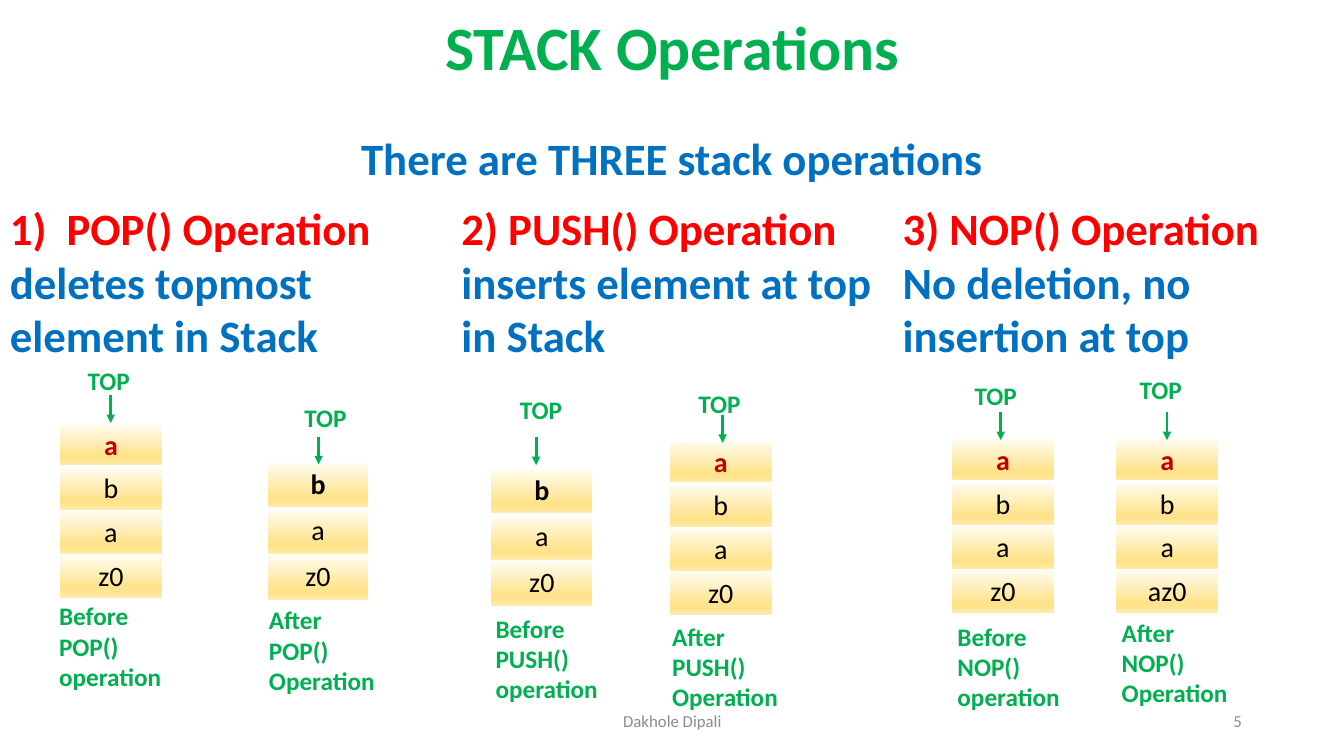
from copy import deepcopy
from dataclasses import dataclass

from lxml.etree import SubElement
from pptx import Presentation
from pptx.dml.color import RGBColor as RGB
from pptx.enum.shapes import MSO_CONNECTOR as Connector
from pptx.enum.text import MSO_ANCHOR as Anchor, PP_ALIGN as Align
from pptx.oxml import parse_xml
from pptx.oxml.ns import nsdecls, qn
from pptx.util import Cm, Pt


@dataclass(frozen=True)
class Theme:
    font: str = "Calibri"
    green: str = "00B050"
    blue: str = "0070C0"
    red: str = "FF0000"
    crimson: str = "C00000"
    black: str = "000000"
    grey: str = "8C8C8C"
    white: str = "FFFFFF"
    gradient: tuple = ((0, "FFFCF2"), (74, "FFE38C"), (83, "FFE38C"), (100, "FFECB2"))
    title: int = 44
    heading: int = 32
    cell: int = 20
    label: int = 18
    footer: int = 12


theme = Theme()


def write(frame, lines, size, bold=True, align=Align.LEFT, anchor=Anchor.TOP, spacing=1.0):
    frame.word_wrap = True
    frame.vertical_anchor = anchor
    for i, (text, color) in enumerate(lines):
        paragraph = frame.paragraphs[0] if i == 0 else frame.add_paragraph()
        paragraph.alignment = align
        paragraph.line_spacing = spacing
        run = paragraph.add_run()
        run.text = text
        for key, value in {"name": theme.font, "size": Pt(size), "bold": bold}.items():
            setattr(run.font, key, value)
        run.font.color.rgb = RGB.from_string(color)


def add_text(left, top, width, height, lines, size, **style):
    box = slide.shapes.add_textbox(Cm(left), Cm(top), Cm(width), Cm(height))
    write(box.text_frame, lines, size, **style)
    return box.text_frame


deck = Presentation()
deck.slide_width, deck.slide_height = Cm(33.87), Cm(19.05)
slide = deck.slides.add_slide(deck.slide_layouts[5])

title = slide.shapes.title
title_place = {"left": Cm(2.34), "top": Cm(0), "width": Cm(29.21), "height": Cm(2.54)}
for key, value in title_place.items():
    setattr(title, key, value)
write(title.text_frame, [("STACK Operations", theme.green)], theme.title,
      align=Align.CENTER, anchor=Anchor.MIDDLE, spacing=0.9)

add_text(0, 3.2, 33.87, 1.73, [("There are THREE stack operations", theme.blue)],
         theme.heading, align=Align.CENTER, anchor=Anchor.MIDDLE, spacing=0.9)

operations = [
    (0, 11.18, "POP() Operation", "deletes topmost element in Stack"),
    (11.38, 11.13, "2) PUSH() Operation", "inserts element at top in Stack"),
    (22.5, 11.35, "3) NOP() Operation", "No deletion, no insertion at top"),
]
for left, width, heading, effect in operations:
    operation = add_text(left, 4.93, width, 14.12,
                         [(heading, theme.red), (effect, theme.blue)], theme.heading)
    if left == 0:
        numbering = operation.paragraphs[0]._p.get_or_add_pPr()
        numbering.set("marL", str(Cm(1.43)))
        numbering.set("indent", str(-Cm(1.43)))
        SubElement(numbering, qn("a:buFont"), typeface=theme.font)
        SubElement(numbering, qn("a:buAutoNum"), type="arabicParenR")

stops = "".join(f'<a:gs pos="{pos * 1000}"><a:srgbClr val="{color}"/></a:gs>'
                for pos, color in theme.gradient)
cell_gradient = parse_xml(f'<a:gradFill {nsdecls("a")}><a:gsLst>{stops}</a:gsLst>'
                          '<a:lin ang="5400000" scaled="0"/></a:gradFill>')
line_xml = ('<a:{tag} {ns} w="{width}"><a:solidFill><a:srgbClr val="{color}"/>'
            '</a:solidFill></a:{tag}>')

stacks = [
    ("a b a z0", (1.5, 10.67), (1.96, 9.09), (2.79, 9.96), "Before POP() operation", (1.24, 15.01)),
    ("b a z0", (6.73, 11.66), (7.42, 10.01), (8.03, 11), "After POP() Operation", (6.53, 15.11)),
    ("b a z0", (12.37, 11.81), (12.85, 9.8), (13.51, 11.02), "Before PUSH() operation", (12.24, 15.32)),
    ("a b a z0", (16.87, 11.1), (17.35, 9.65), (18.21, 10.46), "After PUSH() Operation", (16.69, 15.52)),
    ("a b a z0", (23.98, 11.05), (24.31, 9.45), (25.22, 10.39), "Before NOP() operation", (23.88, 15.52)),
    ("a b a az0", (28.12, 11.05), (28.47, 9.3), (29.41, 10.39), "After NOP() Operation", (28.02, 15.42)),
]
for symbols, (left, top), top_label, (arrow_x, arrow_y), caption, caption_at in stacks:
    symbols = symbols.split()
    width, row_height = (2.59, 1.1) if len(symbols) == 4 else (2.57, 1.16)
    stack = slide.shapes.add_table(len(symbols), 1, Cm(left), Cm(top), Cm(width),
                                   Cm(row_height * len(symbols))).table
    stack.first_row = stack.horz_banding = False
    for row, symbol in enumerate(symbols):
        cell = stack.cell(row, 0)
        is_top = row == 0
        color = theme.crimson if is_top and symbol == "a" else theme.black
        write(cell.text_frame, [(symbol, color)], theme.cell, bold=is_top, align=Align.CENTER)
        if is_top:
            outline = line_xml.format(tag="ln", ns=nsdecls("a"), width=Pt(0.75), color=theme.crimson)
            cell.text_frame.paragraphs[0].runs[0].font._element.insert(0, parse_xml(outline))
        borders = {"lnL": 1, "lnR": 1, "lnT": 3 if row == 1 else 1, "lnB": 3 if is_top else 1}
        properties = cell._tc.get_or_add_tcPr()
        for tag, points in borders.items():
            properties.append(parse_xml(line_xml.format(
                tag=tag, ns=nsdecls("a"), width=Pt(points), color=theme.white)))
        properties.append(deepcopy(cell_gradient))

    add_text(*top_label, 1.78, 1.02, [("TOP", theme.green)], theme.label)
    caption_width = 3.25 if caption.startswith("Before") else 3.4
    add_text(*caption_at, caption_width, 2.57, [(caption, theme.green)], theme.label)

    arrow = slide.shapes.add_connector(Connector.STRAIGHT, Cm(arrow_x), Cm(arrow_y),
                                       Cm(arrow_x), Cm(arrow_y + 0.7))
    arrow.line.width = Pt(2)
    arrow.line.color.rgb = RGB.from_string(theme.green)
    SubElement(arrow.line._get_or_add_ln(), qn("a:tailEnd"), type="triangle")
    SubElement(arrow._element.spPr, qn("a:effectLst"))

footers = [
    (23.93, 7.62, "5", Align.RIGHT),
    (11.23, 11.43, "Dakhole Dipali", Align.CENTER),
]
for left, width, text, align in footers:
    add_text(left, 17.65, width, 1.02, [(text, theme.grey)], theme.footer,
             bold=False, align=align, anchor=Anchor.MIDDLE)

deck.save("out.pptx")
